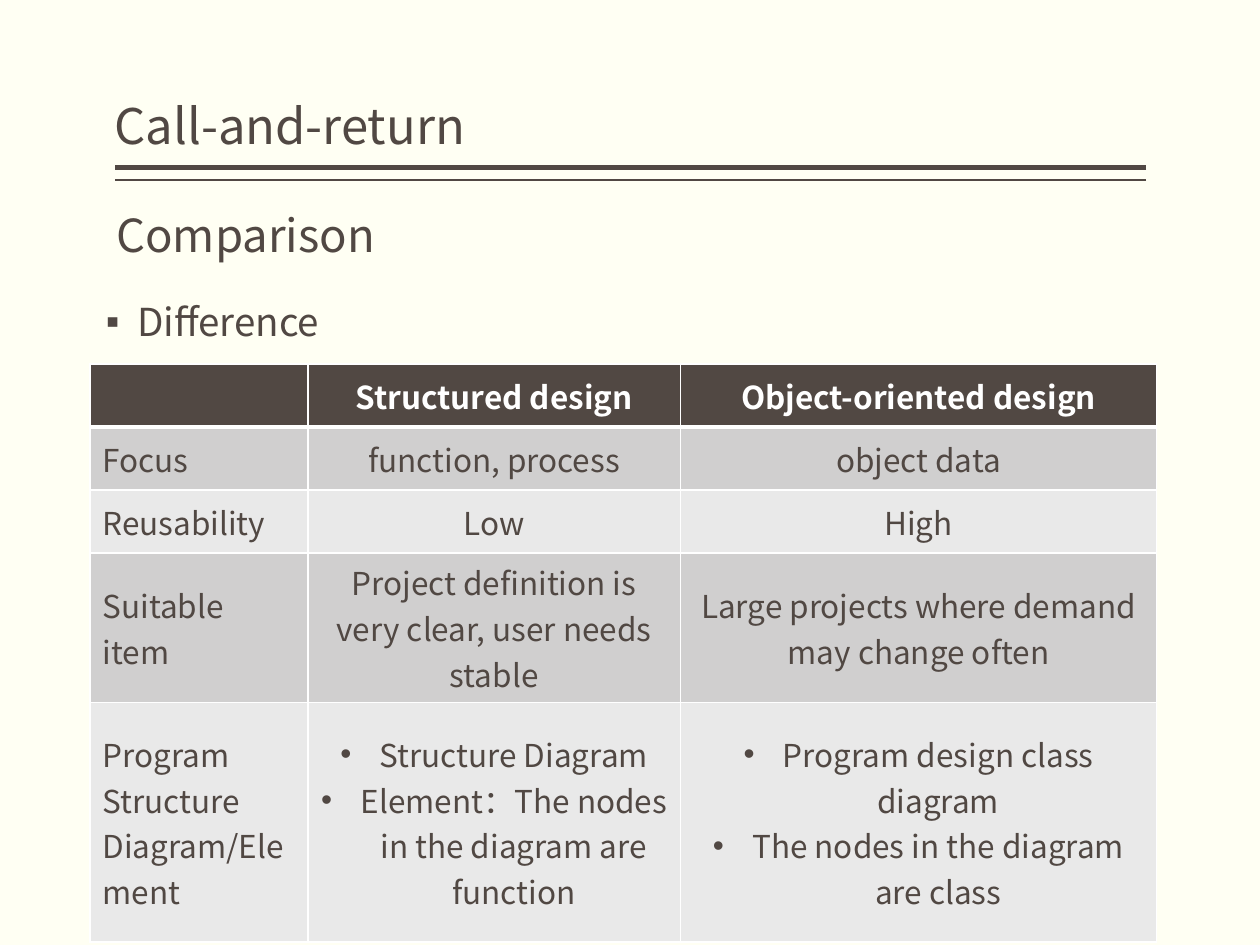
from lxml import etree
from pptx import Presentation
from pptx.dml.color import RGBColor
from pptx.enum import shapes, text
from pptx.oxml.ns import qn
from pptx.util import Pt

FONT = "Noto Sans CJK SC"
BROWN, WHITE, CREAM = "514843", "FFFFFF", "FFFFF3"
BANDS = ["D0CFCF", "E9E9E9"]

TITLE = "Call-and-return"
SUBTITLE = "Comparison"
TOPIC = "Difference"
# A list in a cell becomes bulleted paragraphs.
COMPARISON = [
    ["", "Structured design", "Object-oriented design"],
    ["Focus", "function, process", "object data"],
    ["Reusability", "Low", "High"],
    ["Suitable item", "Project definition is very clear, user needs stable",
     "Large projects where demand may change often"],
    ["Program Structure Diagram/Element",
     ["Structure Diagram", "Element：The nodes in the diagram are function"],
     ["Program design class diagram", "The nodes in the diagram are class"]],
]
COLUMN_WIDTHS = [124.5, 213, 272]
ROW_HEIGHTS = [36, 36, 36, 85, 137]
RULES = [(95.9, 3), (102.8, 1)]  # y, weight
RULE_LEFT, RULE_RIGHT = 65.5, 655


def color(hex_code):
    return RGBColor.from_string(hex_code)


def style(paragraph, size, hex_code=BROWN, bold=False):
    for run in paragraph.runs:
        font = run.font
        font.name, font.size, font.bold = FONT, Pt(size), bold
        font.color.rgb = color(hex_code)
        etree.SubElement(run._r.get_or_add_rPr(), qn("a:ea"), typeface=FONT)


def indent(paragraph, left, hanging, bullet=None):
    props = paragraph._p.get_or_add_pPr()
    props.set("marL", str(Pt(left)))
    props.set("indent", str(Pt(-hanging)))
    if bullet:
        etree.SubElement(props, qn("a:buFont"), typeface="Arial")
        etree.SubElement(props, qn("a:buChar"), char=bullet)
    else:
        etree.SubElement(props, qn("a:buNone"))


def place(placeholder, left, top, width, height, anchor):
    placeholder.left, placeholder.top = Pt(left), Pt(top)
    placeholder.width, placeholder.height = Pt(width), Pt(height)
    frame = placeholder.text_frame
    frame.margin_left = frame.margin_right = 0
    frame.auto_size = text.MSO_AUTO_SIZE.NONE
    frame.vertical_anchor = anchor
    return frame


def border(cell, bottom):
    """White cell borders, 1 pt except for the bottom one."""
    props = cell._tc.get_or_add_tcPr()
    for side, weight in (("L", 1), ("R", 1), ("T", 1), ("B", bottom)):
        edge = etree.SubElement(props, qn(f"a:ln{side}"), w=str(Pt(weight)))
        fill = etree.SubElement(edge, qn("a:solidFill"))
        etree.SubElement(fill, qn("a:srgbClr"), val=WHITE)


def add_rules(slide):
    for y, weight in RULES:
        rule = slide.shapes.add_connector(
            shapes.MSO_CONNECTOR.STRAIGHT, Pt(RULE_RIGHT), Pt(y), Pt(RULE_LEFT), Pt(y))
        rule.line.color.rgb = color(BROWN)
        rule.line.width = Pt(weight)
        etree.SubElement(rule._element.spPr, qn("a:effectLst"))


def add_headings(slide):
    heading = place(slide.shapes.title, 65.5, 6, 590, 86, text.MSO_ANCHOR.BOTTOM)
    heading.text = TITLE
    heading.paragraphs[0].alignment = text.PP_ALIGN.LEFT
    heading.paragraphs[0].line_spacing = 0.9
    style(heading.paragraphs[0], 28)

    body = place(slide.placeholders[1], 60.5, 118, 629, 87, text.MSO_ANCHOR.TOP)
    body.text = f"{SUBTITLE}\n{TOPIC}"
    subtitle, topic = body.paragraphs
    for paragraph, size, spacing in ((subtitle, 26, 0.9), (topic, 22, 1.1)):
        paragraph.line_spacing = spacing
        paragraph.space_before = Pt(18)
        style(paragraph, size)
    indent(subtitle, 6, 0)
    indent(topic, 18, 18, "▪")


def fill_cell(cell, content, row, column):
    header = row == 0
    border(cell, 3 if header else 1)
    cell.fill.solid()
    cell.fill.fore_color.rgb = color(BROWN if header else BANDS[(row - 1) % 2])
    cell.vertical_anchor = text.MSO_ANCHOR.MIDDLE
    bulleted = isinstance(content, list)
    cell.text_frame.text = "\n".join(content) if bulleted else content
    for paragraph in cell.text_frame.paragraphs:
        paragraph.alignment = text.PP_ALIGN.CENTER if column else text.PP_ALIGN.LEFT
        style(paragraph, 18, WHITE if header else BROWN, header)
        if bulleted:
            indent(paragraph, 22.5, 22.5, "•")


def add_comparison(slide):
    table = slide.shapes.add_table(
        len(COMPARISON), len(COLUMN_WIDTHS), Pt(51.4), Pt(208),
        Pt(sum(COLUMN_WIDTHS)), Pt(sum(ROW_HEIGHTS))).table
    for column, width in zip(table.columns, COLUMN_WIDTHS):
        column.width = Pt(width)
    for row, height in zip(table.rows, ROW_HEIGHTS):
        row.height = Pt(height)
    for r, contents in enumerate(COMPARISON):
        for c, content in enumerate(contents):
            fill_cell(table.cell(r, c), content, r, c)


def main():
    deck = Presentation()
    deck.slide_width, deck.slide_height = Pt(720), Pt(540)
    slide = deck.slides.add_slide(deck.slide_layouts[1])
    slide.background.fill.solid()
    slide.background.fill.fore_color.rgb = color(CREAM)
    add_rules(slide)
    add_headings(slide)
    add_comparison(slide)
    deck.save("out.pptx")


if __name__ == "__main__":
    main()
